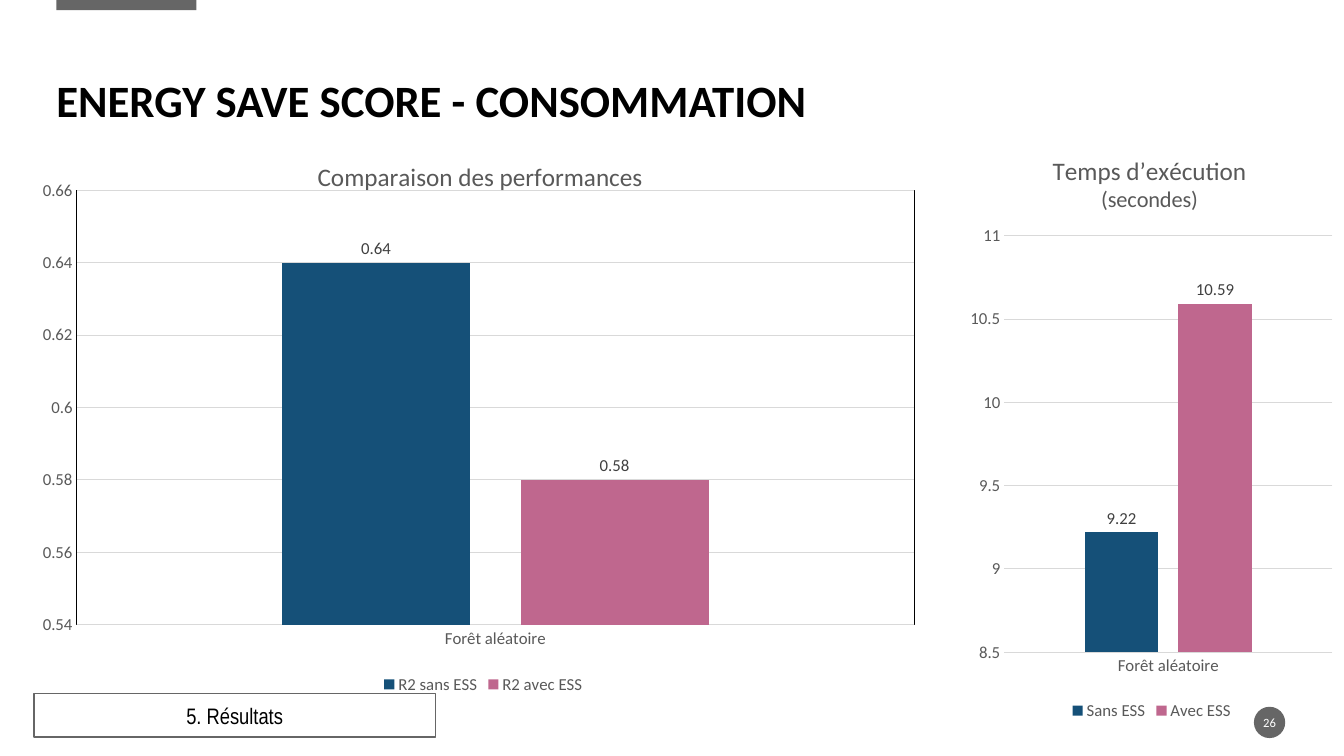
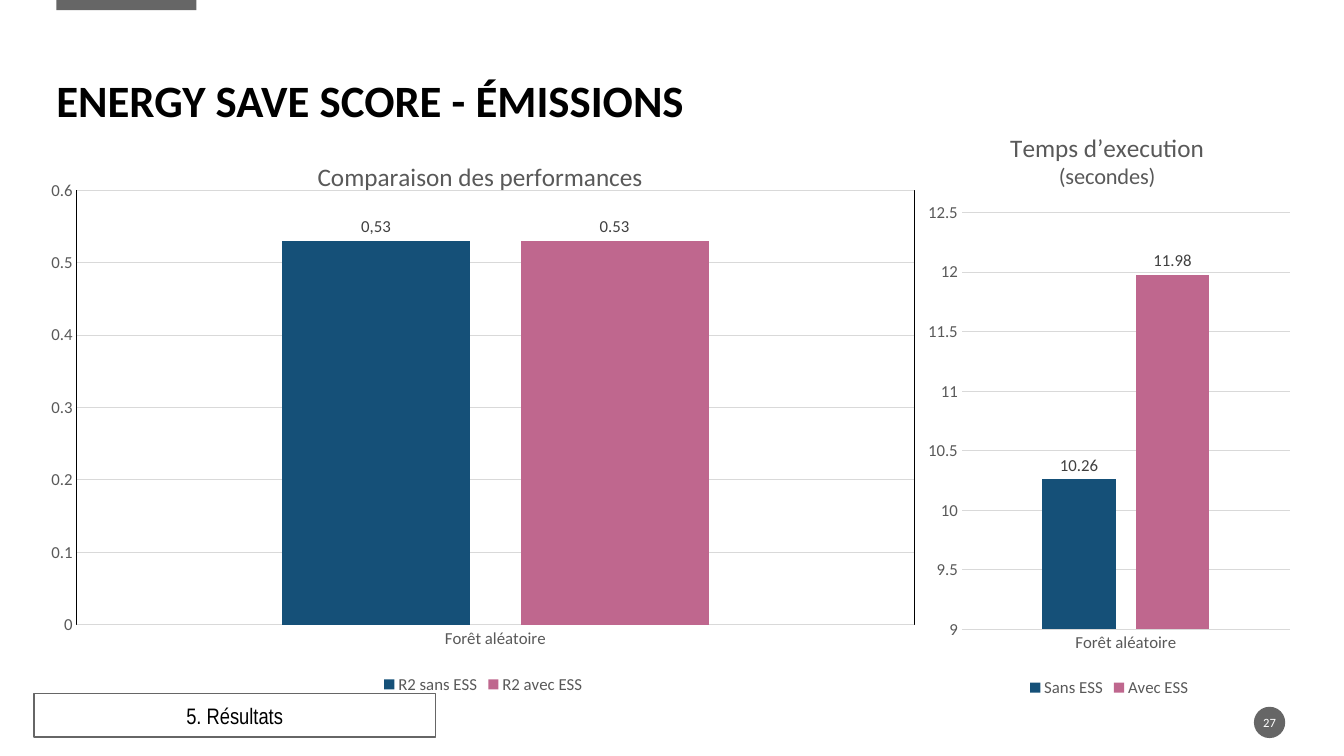
from lxml import etree
from pptx import Presentation
from pptx import util as u
from pptx.chart.data import CategoryChartData
from pptx.dml.color import RGBColor
from pptx.enum import chart as ch, shapes, text
from pptx.oxml import parse_xml
from pptx.oxml.ns import nsdecls, qn

GREY, WHITE, BLACK = "666666", "FFFFFF", "000000"
CHART_TEXT, LABEL_TEXT, GRID = "595959", "404040", "D9D9D9"
SERIES_COLORS = ["155078", "BF678E"]
FONT = "Calibri"
CATEGORY = "Forêt aléatoire"
SECTION = "5. Résultats"

# Title position (x, y) and inner plot area (x, y, w, h), as shares of the chart
PERFORMANCE = {
    "size": (22.58, 14.27), "title_at": (0.31, 0.04),
    "plot": (0.046, 0.103, 0.935, 0.767), "border": BLACK,
    "names": ["R2 sans ESS", "R2 avec ESS"],
}
DURATION = {
    "size": (9.53, 15.06), "title_at": (0.23, 0.04),
    "plot": (0.11, 0.182, 0.868, 0.697), "border": None,
    "names": ["Sans ESS", "Avec ESS"],
}

SLIDES = [
    {"title": "ENERGY SAVE SCORE - CONSOMMATION", "number": 26, "charts": [
        {"style": PERFORMANCE, "at": (0.89, 3.33), "values": [0.64, 0.58],
         "title": [("Comparaison des performances", 18)],
         "scale": (0.54, 0.66, 0.02)},
        {"style": DURATION, "at": (24.26, 3.2), "values": [9.22, 10.59],
         "title": [("Temps d’exécution", 18), ("(secondes)", 16)],
         "scale": (8.5, 11, 0.5)},
    ]},
    {"title": "ENERGY SAVE SCORE - ÉMISSIONS", "number": 27, "charts": [
        {"style": PERFORMANCE, "at": (0.89, 3.33), "values": [0.53, 0.53],
         "title": [("Comparaison des performances", 18)],
         "scale": (0, 0.6, 0.1), "labels": {0: "0,53"}},
        {"style": DURATION, "at": (23.19, 2.62), "values": [10.26, 11.98],
         "title": [("Temps d’execution", 18), ("(secondes)", 16)],
         "scale": (9, 12.5, 0.5)},
    ]},
]


def color(value):
    return RGBColor.from_string(value)


def set_font(font, size, fill, name=FONT, bold=False):
    font.size, font.name, font.bold = u.Pt(size), name, bold
    font.color.rgb = color(fill)


def write(frame, content, size=12, fill=BLACK, name=FONT, bold=False,
          align=text.PP_ALIGN.CENTER, spacing=None):
    """Fill a frame with one paragraph, without insets, centred vertically."""
    frame.margin_left = frame.margin_right = frame.margin_top = frame.margin_bottom = 0
    frame.word_wrap = True
    frame.vertical_anchor = text.MSO_ANCHOR.MIDDLE
    paragraph = frame.paragraphs[0]
    paragraph.alignment = align
    paragraph.line_spacing = spacing
    run = paragraph.add_run()
    run.text = content
    set_font(run.font, size, fill, name, bold)


def add_box(slide, kind, left, top, width, height, fill, line=None):
    shape = slide.shapes.add_shape(kind, u.Cm(left), u.Cm(top), u.Cm(width), u.Cm(height))
    shape.shadow.inherit = False
    shape.fill.solid()
    shape.fill.fore_color.rgb = color(fill)
    if line:
        shape.line.color.rgb = color(line)
        shape.line.width = u.Pt(1)
    else:
        shape.line.fill.background()
    return shape


def set_layout(parent, position, index, inner=False):
    """Place a chart title or plot area at fixed shares of the chart."""
    for old in parent.findall(qn("c:layout")):
        parent.remove(old)
    layout = etree.Element(qn("c:layout"))
    manual = etree.SubElement(layout, qn("c:manualLayout"))
    entries = [("layoutTarget", "inner")] if inner else []
    entries += [("xMode", "edge"), ("yMode", "edge")]
    entries += zip("xywh", position)
    for tag, value in entries:
        etree.SubElement(manual, qn("c:" + tag)).set("val", str(value))
    parent.insert(index, layout)


def set_plot_border(plot_area, border):
    line = f'<a:solidFill><a:srgbClr val="{border}"/></a:solidFill>' if border else "<a:noFill/>"
    plot_area.append(parse_xml(
        f'<c:spPr {nsdecls("c", "a")}><a:noFill/><a:ln w="9525">{line}</a:ln></c:spPr>'))


def set_grid_line(line):
    line.color.rgb = color(GRID)
    line.width = u.Pt(0.75)


def format_title(chart, lines, position):
    chart.has_title = True
    frame = chart.chart_title.text_frame
    for index, (content, size) in enumerate(lines):
        paragraph = frame.add_paragraph() if index else frame.paragraphs[0]
        run = paragraph.add_run()
        run.text = content
        set_font(run.font, size, CHART_TEXT)
    chart.chart_title.include_in_layout = False
    set_layout(chart.chart_title._element, position, 1)


def format_axes(chart, scale):
    for axis in (chart.category_axis, chart.value_axis):
        axis.major_tick_mark = axis.minor_tick_mark = ch.XL_TICK_MARK.NONE
        set_font(axis.tick_labels.font, 12, CHART_TEXT)
    set_grid_line(chart.category_axis.format.line)
    values = chart.value_axis
    values.minimum_scale, values.maximum_scale, values.major_unit = scale
    values.format.line.fill.background()
    values.has_major_gridlines = True
    set_grid_line(values.major_gridlines.format.line)


def format_series(series, fill, label=None):
    series.format.fill.solid()
    series.format.fill.fore_color.rgb = color(fill)
    labels = series.data_labels
    labels.show_value = True
    labels.position = ch.XL_LABEL_POSITION.OUTSIDE_END
    set_font(labels.font, 12, LABEL_TEXT)
    if label:
        point_label = series.points[0].data_label
        run = point_label.text_frame.paragraphs[0].add_run()
        run.text = label
        set_font(run.font, 12, LABEL_TEXT)
        point_label.position = ch.XL_LABEL_POSITION.OUTSIDE_END


def add_column_chart(slide, content):
    style = content["style"]
    data = CategoryChartData()
    data.categories = [CATEGORY]
    for name, value in zip(style["names"], content["values"]):
        data.add_series(name, [value])
    bounds = [u.Cm(length) for length in content["at"] + style["size"]]
    chart = slide.shapes.add_chart(ch.XL_CHART_TYPE.COLUMN_CLUSTERED, *bounds, data).chart
    set_font(chart.font, 10, BLACK)
    format_title(chart, content["title"], style["title_at"])
    format_axes(chart, content["scale"])
    chart.has_legend = True
    chart.legend.position = ch.XL_LEGEND_POSITION.BOTTOM
    chart.legend.include_in_layout = False
    set_font(chart.legend.font, 12, CHART_TEXT)
    plot = chart.plots[0]
    plot.gap_width, plot.overlap, plot.vary_by_categories = 219, -27, False
    for index, series in enumerate(plot.series):
        format_series(series, SERIES_COLORS[index], content.get("labels", {}).get(index))
    plot_area = chart._chartSpace.find(".//" + qn("c:plotArea"))
    set_layout(plot_area, style["plot"], 0, inner=True)
    set_plot_border(plot_area, style["border"])


def add_slide(presentation, content):
    slide = presentation.slides.add_slide(presentation.slide_layouts[6])
    kinds = shapes.MSO_SHAPE
    add_box(slide, kinds.RECTANGLE, 1.42, 0, 3.53, 0.26, GREY)
    title = slide.shapes.add_textbox(u.Cm(1.42), u.Cm(0.76), u.Cm(26.8), u.Cm(3.68))
    write(title.text_frame, content["title"], size=32, bold=True,
          align=text.PP_ALIGN.LEFT, spacing=0.9)
    for chart in content["charts"]:
        add_column_chart(slide, chart)
    badge = add_box(slide, kinds.OVAL, 31.6, 17.81, 0.79, 0.79, GREY)
    write(badge.text_frame, str(content["number"]), size=9, fill=WHITE)
    badge.text_frame.word_wrap = False
    section = add_box(slide, kinds.RECTANGLE, 0.86, 17.48, 10.11, 1.09, WHITE, line=GREY)
    write(section.text_frame, SECTION, size=16, name="Arial Narrow")


def main():
    presentation = Presentation()
    presentation.slide_width, presentation.slide_height = u.Cm(33.87), u.Cm(19.05)
    for content in SLIDES:
        add_slide(presentation, content)
    presentation.save("out.pptx")


if __name__ == "__main__":
    main()
